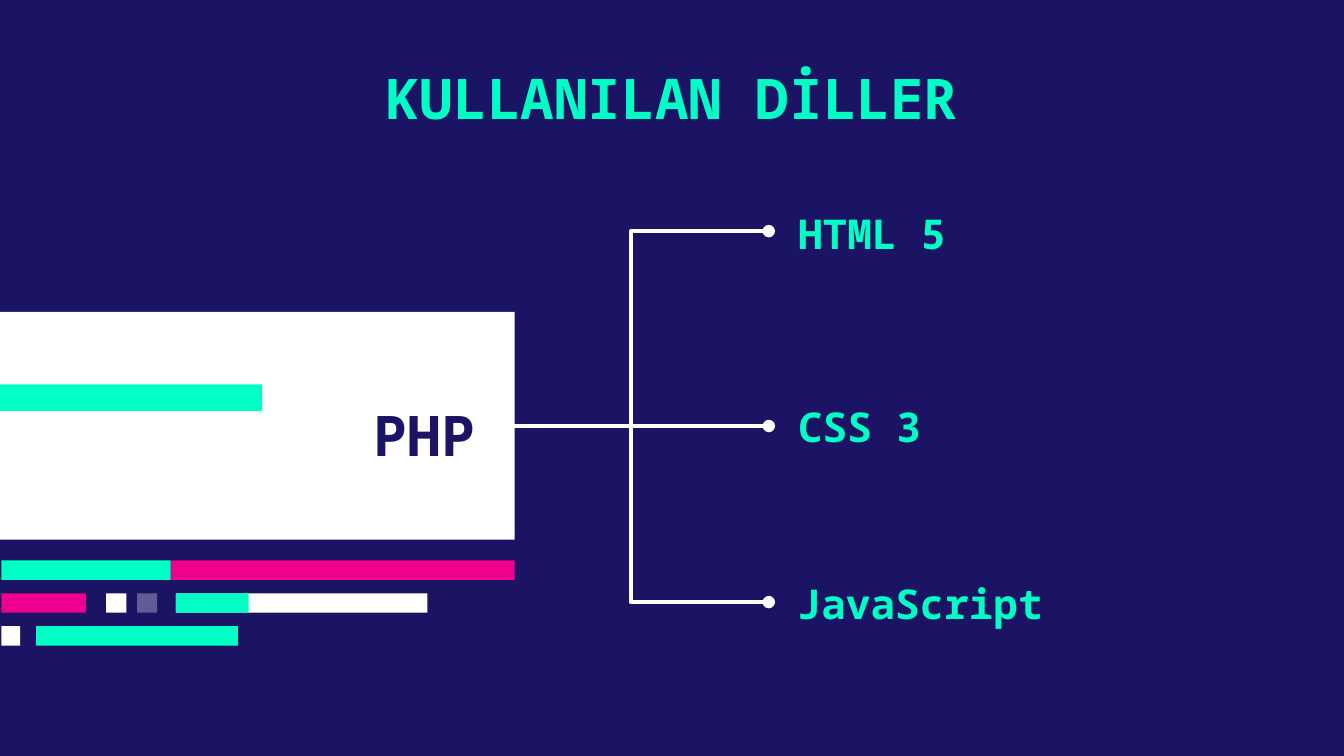
from lxml import etree
from pptx import Presentation
from pptx import util as u
from pptx.dml.color import RGBColor
from pptx.enum import shapes, text
from pptx.oxml.ns import qn

NAVY, MINT, PINK, WHITE = "1B1464", "00FFC5", "EC008C", "FFFFFF"
COLUMNS = 100
ROWS = COLUMNS * 9 / 16


def color(value):
    return RGBColor.from_string(value)


def write(box, words, size=22, fill=MINT, align=text.PP_ALIGN.LEFT,
          anchor=text.MSO_ANCHOR.MIDDLE, inset=0):
    frame = box.text_frame
    frame.word_wrap = True
    frame.vertical_anchor = anchor
    frame.margin_left = frame.margin_right = u.Inches(0.1)
    frame.margin_top = frame.margin_bottom = u.Inches(inset)
    para = frame.paragraphs[0]
    para.alignment = align
    span = para.add_run()
    span.text = words
    span.font.name = "Noto Sans Mono"
    span.font.size = u.Pt(size)
    span.font.bold = True
    span.font.color.rgb = color(fill)


class Canvas:
    def __init__(self, deck, background):
        self.page = deck.slides.add_slide(deck.slide_layouts[6])
        self.page.background.fill.solid()
        self.page.background.fill.fore_color.rgb = color(background)
        self.column = deck.slide_width / COLUMNS
        self.row = deck.slide_height / ROWS

    def place(self, column, row):
        return round(column * self.column), round(row * self.row)

    def bar(self, left, top, width, height, fill, opacity=100):
        bar = self.page.shapes.add_shape(
            shapes.MSO_SHAPE.RECTANGLE,
            *self.place(left, top), *self.place(width, height))
        bar.shadow.inherit = False
        bar.line.fill.background()
        bar.fill.solid()
        bar.fill.fore_color.rgb = color(fill)
        if opacity < 100:
            tint = bar.fill._xPr.find(".//" + qn("a:srgbClr"))
            etree.SubElement(tint, qn("a:alpha"), val=str(opacity * 1000))

    def label(self, left, top, width, height, words, **style):
        box = self.page.shapes.add_textbox(
            *self.place(left, top), *self.place(width, height))
        write(box, words, **style)

    def branch(self, start, end):
        branch = self.page.shapes.add_connector(
            shapes.MSO_CONNECTOR.ELBOW, *self.place(*start), *self.place(*end))
        branch.line.color.rgb = color(WHITE)
        branch.line.width = u.Pt(2.25)
        etree.SubElement(branch.line._get_or_add_ln(), qn("a:tailEnd"), type="oval")
        etree.SubElement(branch._element.spPr, qn("a:effectLst"))


def main():
    deck = Presentation()
    deck.slide_width = u.Inches(10)
    deck.slide_height = deck.slide_width * 9 // 16
    canvas = Canvas(deck, NAVY)

    canvas.bar(0, 23.2, 38.3, 16.95, WHITE)
    canvas.label(14, 3.75, 72, 7.3, "KULLANILAN DİLLER", size=30, inset=0.1,
                 align=text.PP_ALIGN.CENTER, anchor=text.MSO_ANCHOR.TOP)
    canvas.bar(0, 28.6, 19.5, 2, MINT)
    canvas.label(9.7, 30.15, 26.6, 4.3, "PHP", size=30, fill=NAVY,
                 align=text.PP_ALIGN.RIGHT)

    code_lines = [
        [(12.7, 25.6, PINK), (0.1, 12.6, MINT)],
        [(13.1, 18.7, WHITE), (13.1, 5.4, MINT), (0.1, 6.3, PINK),
         (10.2, 1.5, WHITE, 31), (7.9, 1.5, WHITE)],
        [(0.1, 1.4, WHITE), (2.7, 15, MINT)],
    ]
    for index, line in enumerate(code_lines):
        for left, width, *paint in line:
            canvas.bar(left, 41.7 + 2.45 * index, width, 1.45, *paint)

    languages = [("HTML 5", 58.4, 15.85, 17.2), ("CSS 3", 58.4, 30.2, 31.7),
                 ("JavaScript", 58.3, 43.35, 44.8)]
    for name, left, top, level in languages:
        canvas.label(left, top, 29.5, 3, name)
        canvas.branch((36.7, 31.7), (57.2, level))

    deck.save("out.pptx")


if __name__ == "__main__":
    main()
